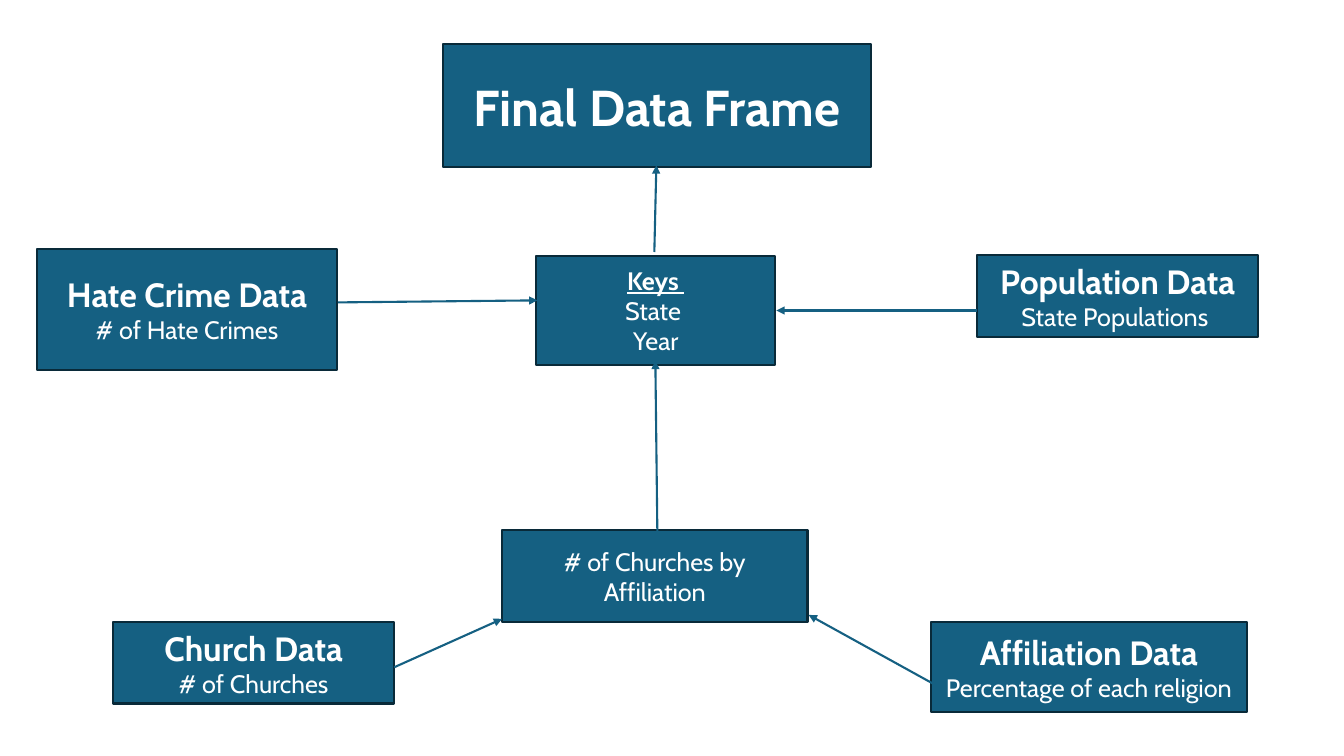
from dataclasses import dataclass

from lxml import etree
from pptx import Presentation, util as u
from pptx.dml.color import RGBColor
from pptx.enum import shapes, text
from pptx.oxml.ns import qn

PX = 9144  # EMU per px, 100 px to the inch


@dataclass
class Theme:
    font: str = "Cabin"
    fill: RGBColor = RGBColor(0x15, 0x60, 0x82)
    edge: RGBColor = RGBColor(0x09, 0x2A, 0x39)
    ink: RGBColor = RGBColor(0xFF, 0xFF, 0xFF)
    title: int = 36
    head: int = 24
    body: int = 18
    line: float = 1.5


class Chart:
    def __init__(self, slide, theme):
        self.slide = slide
        self.theme = theme

    def box(self, left, top, width, height, *rows):
        """Draw a box; each row is (words, size, bold, underline)."""
        t = self.theme
        box = self.slide.shapes.add_shape(
            shapes.MSO_SHAPE.RECTANGLE,
            *(n * PX for n in (left, top, width, height)))
        box.shadow.inherit = False
        box.fill.solid()
        box.fill.fore_color.rgb = t.fill
        box.line.color.rgb = t.edge
        box.line.width = u.Pt(t.line)
        frame = box.text_frame
        frame.word_wrap = True
        frame.vertical_anchor = text.MSO_ANCHOR.MIDDLE
        for i, (words, size, bold, under) in enumerate(rows):
            para = frame.add_paragraph() if i else frame.paragraphs[0]
            para.alignment = text.PP_ALIGN.CENTER
            run = para.add_run()
            run.text = words
            font = run.font
            font.name = t.font
            font.size = u.Pt(size)
            font.bold = bold
            font.underline = under
            font.color.rgb = t.ink

    def source(self, left, top, width, height, head, note):
        """Draw a box with a bold heading above a plain note."""
        self.box(left, top, width, height,
                 (head, self.theme.head, True, False),
                 (note, self.theme.body, False, False))

    def arrow(self, *ends):
        """Draw an arrow from x1, y1 to x2, y2."""
        link = self.slide.shapes.add_connector(
            shapes.MSO_CONNECTOR.STRAIGHT, *(n * PX for n in ends))
        link.line.color.rgb = self.theme.fill
        link.line.width = u.Pt(self.theme.line)
        tip = etree.SubElement(link.line._get_or_add_ln(), qn("a:tailEnd"))
        tip.set("type", "triangle")
        etree.SubElement(link._element.spPr, qn("a:effectLst"))


def main():
    deck = Presentation()
    deck.slide_width = 1333 * PX
    deck.slide_height = 750 * PX
    theme = Theme()
    chart = Chart(deck.slides.add_slide(deck.slide_layouts[6]), theme)

    chart.box(439, 44, 425, 122,
              ("Final Data Frame", theme.title, True, False))
    chart.source(37, 247, 297, 120, "Hate Crime Data", "# of Hate Crimes")
    chart.source(112, 617, 279, 81, "Church Data", "# of Churches")
    chart.source(923, 617, 314, 89,
                 "Affiliation Data", "Percentage of each religion")
    chart.source(969, 253, 279, 81, "Population Data", "State Populations ")
    chart.box(532, 254, 237, 108,
              ("Keys ", theme.body, True, True),
              ("State ", theme.body, False, False),
              ("Year", theme.body, False, False))
    chart.box(498, 526, 303, 91,
              ("# of Churches by Affiliation", theme.body, False, False))

    for ends in (
        (391, 662, 498, 614),  # church data to churches by affiliation
        (652, 528, 650, 358),  # churches by affiliation to keys
        (925, 678, 802, 610),  # affiliation data to churches by affiliation
        (335, 300, 533, 298),  # hate crime data to keys
        (969, 308, 770, 308),  # population data to keys
        (649, 250, 651, 164),  # keys to final data frame
    ):
        chart.arrow(*ends)

    deck.save("out.pptx")


if __name__ == "__main__":
    main()
